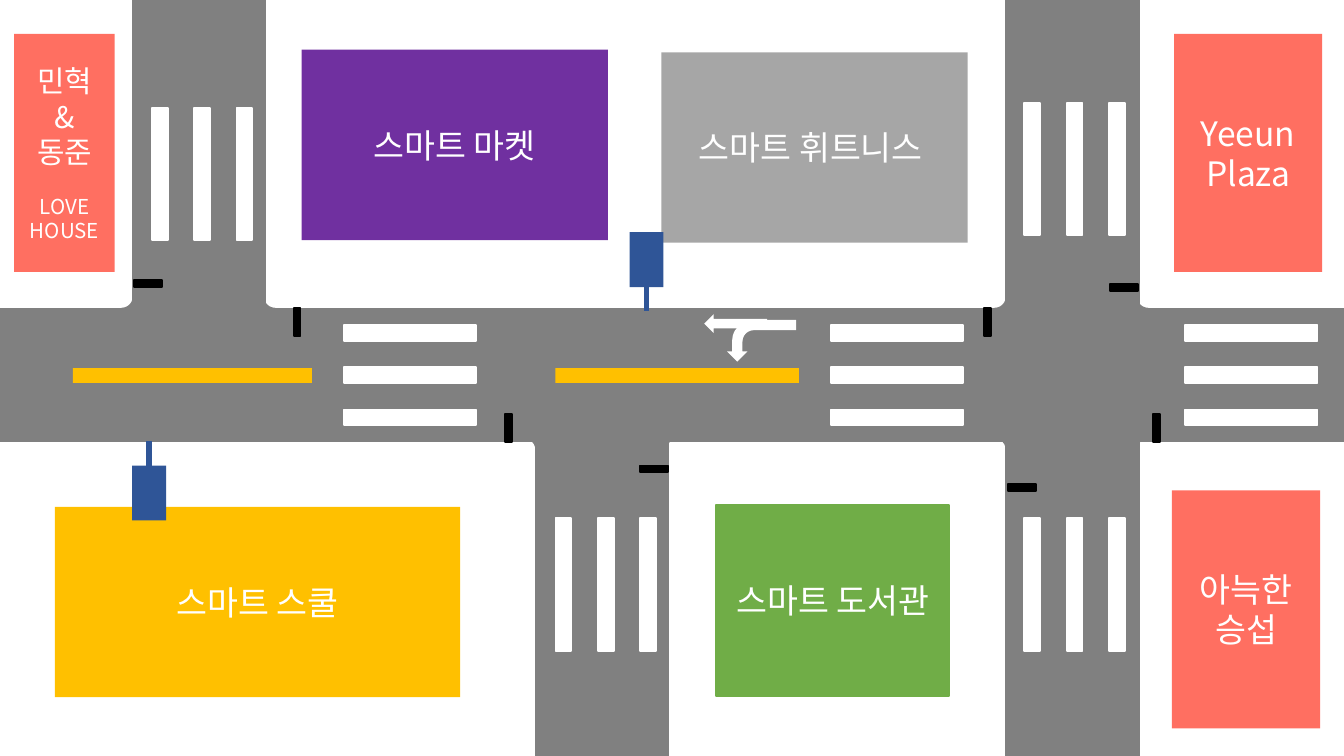
from dataclasses import dataclass
from typing import NamedTuple, Optional

from lxml import etree
from pptx import Presentation
from pptx import util as u
from pptx.dml.color import RGBColor
from pptx.enum import shapes, text
from pptx.oxml.ns import qn


@dataclass(frozen=True)
class Theme:
    font: str = "Noto Sans CJK KR"
    road: str = "808080"
    marking: str = "FFFFFF"
    stop: str = "000000"
    centre_line: str = "FFC000"
    sign: str = "2F5597"
    label: str = "FFFFFF"
    market: str = "7030A0"
    library: str = "70AD47"
    fitness: str = "A6A6A6"
    school: str = "FFC000"
    home: str = "FF6F61"
    title_size: float = 18
    house_size: float = 16
    small_size: float = 11
    leading: float = 1.19


THEME = Theme()
KIND = shapes.MSO_SHAPE


class Box(NamedTuple):
    """Left, top, width and height in centimetres."""
    left: float
    top: float
    width: float
    height: float


class Line(NamedTuple):
    words: str
    size: float = THEME.title_size
    gap: float = 0


class Building(NamedTuple):
    box: Box
    colour: str
    lines: tuple
    outlined: bool = False


class Mark(NamedTuple):
    """Top left corner of a road marking and the way it runs."""
    left: float
    top: float
    upright: bool


class Sign(NamedTuple):
    box: Box
    pole_start: float
    pole_end: float


SLIDE_WIDTH, SLIDE_HEIGHT = 25.4, 14.29
ROAD_WIDTH = 2.5
MAIN_TOP = 5.84
MAIN_BOTTOM = MAIN_TOP + ROAD_WIDTH
STRIPES, STRIPE_PITCH = 3, 0.8
STRIPE_LENGTH, STRIPE_WIDTH = 2.5, 0.3
STOP_LENGTH, STOP_WIDTH = 0.53, 0.13

BUILDINGS = [
    Building(Box(5.7, 0.94, 5.79, 3.6), THEME.market, (Line("스마트 마켓"),)),
    Building(Box(13.54, 9.55, 4.4, 3.6), THEME.library, (Line("스마트 도서관"),), True),
    Building(Box(12.5, 0.99, 5.79, 3.6), THEME.fitness, (Line("스마트 휘트니스 "),)),
    Building(Box(1.04, 9.58, 7.66, 3.6), THEME.school, (Line("스마트 스쿨"),)),
    Building(Box(22.19, 0.64, 2.8, 4.5), THEME.home, (Line("Yeeun"), Line("Plaza"))),
    Building(Box(22.15, 9.27, 2.8, 4.5), THEME.home, (Line("아늑한"), Line("승섭"))),
    Building(Box(0.27, 0.64, 1.9, 4.5), THEME.home, (
        Line("민혁", THEME.house_size), Line("&", THEME.house_size),
        Line("동준", THEME.house_size), Line("LOVE", THEME.small_size, 13),
        Line("HOUSE", THEME.small_size))),
]
NORTH_ROADS = [2.52, 19.02]
SOUTH_ROADS = [10.13, 19.02]
CROSSWALKS = [
    Mark(2.87, 2.04, True), Mark(19.36, 1.94, True),
    Mark(10.5, 9.8, True), Mark(19.36, 9.8, True),
    Mark(6.5, 6.14, False), Mark(15.7, 6.14, False), Mark(22.4, 6.14, False),
]
STOP_BARS = [
    Mark(5.55, 5.82, True), Mark(18.6, 5.82, True),
    Mark(9.55, 7.82, True), Mark(21.79, 7.82, True),
    Mark(2.54, 5.3, False), Mark(20.98, 5.37, False),
    Mark(12.09, 8.8, False), Mark(19.05, 9.15, False),
]
SIGNS = [
    Sign(Box(11.9, 4.39, 0.64, 1.04), 5.43, 5.88),
    Sign(Box(2.5, 8.8, 0.64, 1.04), 8.8, 8.34),
]


def add_block(page, box: Box, colour: str, outlined: bool = False, kind=KIND.RECTANGLE):
    block = page.shapes.add_shape(kind, *(u.Cm(length) for length in box))
    block.shadow.inherit = False
    block.fill.solid()
    block.fill.fore_color.rgb = RGBColor.from_string(colour)
    if outlined:
        block.line.color.rgb = RGBColor.from_string(colour)
        block.line.width = u.Pt(1)
    else:
        block.line.fill.background()
    return block


def add_building(page, building: Building) -> None:
    block = add_block(page, building.box, building.colour, building.outlined)
    frame = block.text_frame
    frame.word_wrap = True
    frame.vertical_anchor = text.MSO_ANCHOR.MIDDLE
    frame.margin_left = frame.margin_right = 0
    for index, line in enumerate(building.lines):
        para = frame.add_paragraph() if index else frame.paragraphs[0]
        para.text = line.words
        para.alignment = text.PP_ALIGN.CENTER
        para.line_spacing = u.Pt(round(line.size * THEME.leading, 1))
        if line.gap:
            para.space_before = u.Pt(line.gap)
        para.font.size = u.Pt(line.size)
        para.font.color.rgb = RGBColor.from_string(THEME.label)
        para.font.name = THEME.font
        defaults = para._p.pPr.find(qn("a:defRPr"))
        etree.SubElement(defaults, qn("a:ea")).set("typeface", THEME.font)


def add_side_road(page, left: float, north: bool) -> None:
    """Draw a side road and the notched plate that rounds its corners."""
    plate_top = 5.61 if north else 7.14
    add_block(page, Box(left - 0.22, plate_top, 2.9, 1.36), THEME.road, True, KIND.PLAQUE)
    top, bottom = (0, MAIN_TOP + 0.5) if north else (MAIN_BOTTOM, SLIDE_HEIGHT)
    add_block(page, Box(left, top, ROAD_WIDTH, bottom - top), THEME.road, True)


def add_mark(page, mark: Mark, length: float, width: float, colour: str) -> None:
    size = (width, length) if mark.upright else (length, width)
    add_block(page, Box(mark.left, mark.top, *size), colour, True)


def add_crosswalk(page, first: Mark) -> None:
    for index in range(STRIPES):
        shift = index * STRIPE_PITCH
        stripe = (first._replace(left=first.left + shift) if first.upright
                  else first._replace(top=first.top + shift))
        add_mark(page, stripe, STRIPE_LENGTH, STRIPE_WIDTH, THEME.marking)


def add_turn_arrow(page) -> None:
    bend: Optional[object] = add_block(
        page, Box(14, 5.79, 0.79, 1.3), THEME.marking, kind=KIND.BENT_ARROW)
    for index, value in enumerate((0.25, 0.24, 0.24, 0.52)):
        bend.adjustments[index] = value
    bend.rotation = 270
    bend._element.spPr.find(qn("a:xfrm")).set("flipH", "1")
    add_block(page, Box(13.31, 5.94, 1.19, 0.36), THEME.marking, kind=KIND.LEFT_ARROW)


def add_sign(page, sign: Sign) -> None:
    add_block(page, sign.box, THEME.sign)
    middle = u.Cm(sign.box.left + sign.box.width / 2)
    pole = page.shapes.add_connector(
        shapes.MSO_CONNECTOR.STRAIGHT, middle, u.Cm(sign.pole_start),
        middle, u.Cm(sign.pole_end))
    pole.line.color.rgb = RGBColor.from_string(THEME.sign)
    pole.line.width = u.Pt(3)
    etree.SubElement(pole._element.spPr, qn("a:effectLst"))


def main() -> None:
    deck = Presentation()
    deck.slide_width, deck.slide_height = u.Cm(SLIDE_WIDTH), u.Cm(SLIDE_HEIGHT)
    page = deck.slides.add_slide(deck.slide_layouts[6])
    for building in BUILDINGS:
        add_building(page, building)
    for left in NORTH_ROADS:
        add_side_road(page, left, north=True)
    for left in SOUTH_ROADS:
        add_side_road(page, left, north=False)
    add_block(page, Box(0, MAIN_TOP, SLIDE_WIDTH, ROAD_WIDTH), THEME.road, True)
    add_block(page, Box(1.38, 6.96, 13.72, 0.28), THEME.centre_line)
    add_block(page, Box(5.9, 6.43, 4.6, 1.45), THEME.road)
    for crosswalk in CROSSWALKS:
        add_crosswalk(page, crosswalk)
    for bar in STOP_BARS:
        add_mark(page, bar, STOP_LENGTH, STOP_WIDTH, THEME.stop)
    add_turn_arrow(page)
    for sign in SIGNS:
        add_sign(page, sign)
    deck.save("out.pptx")


if __name__ == "__main__":
    main()
